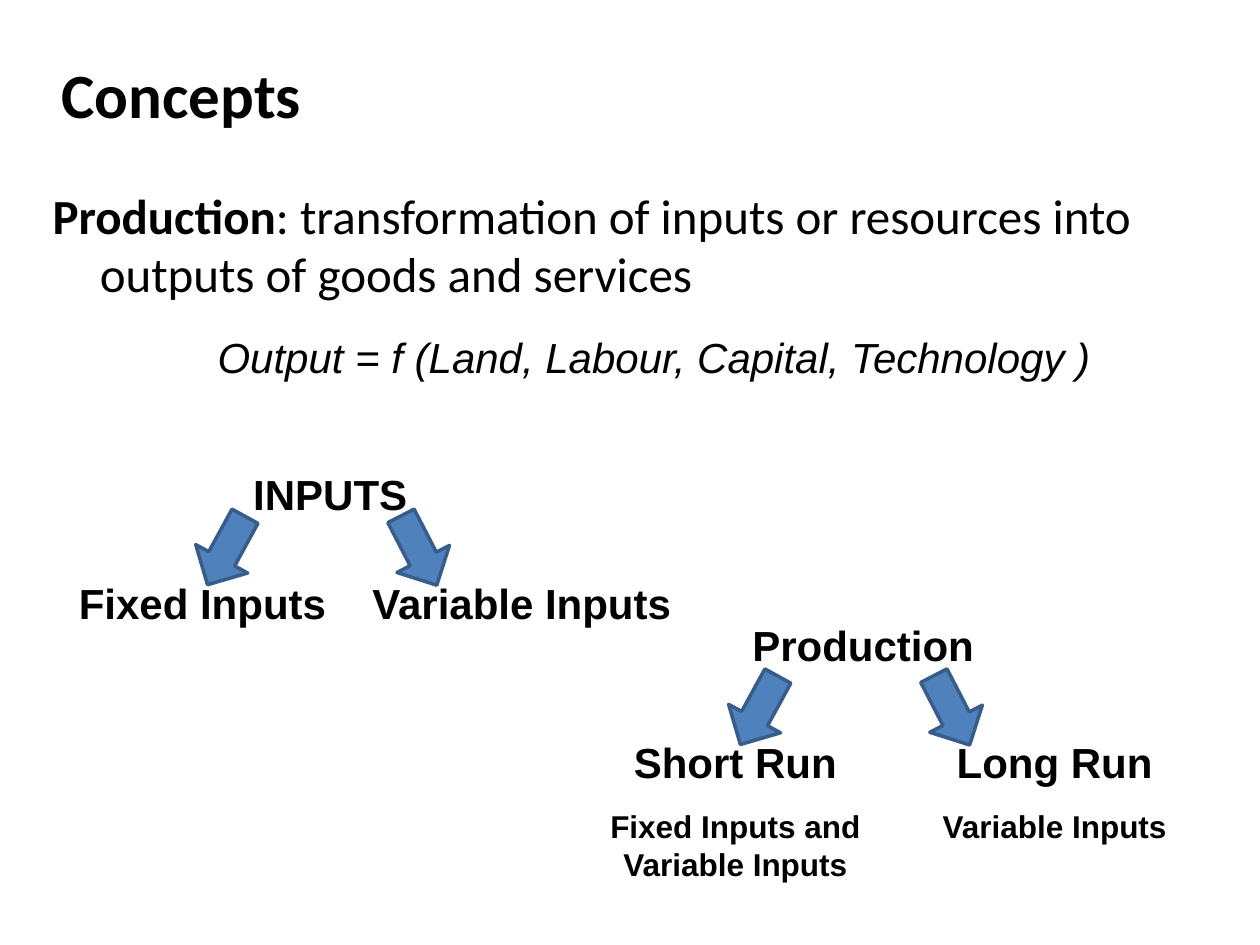
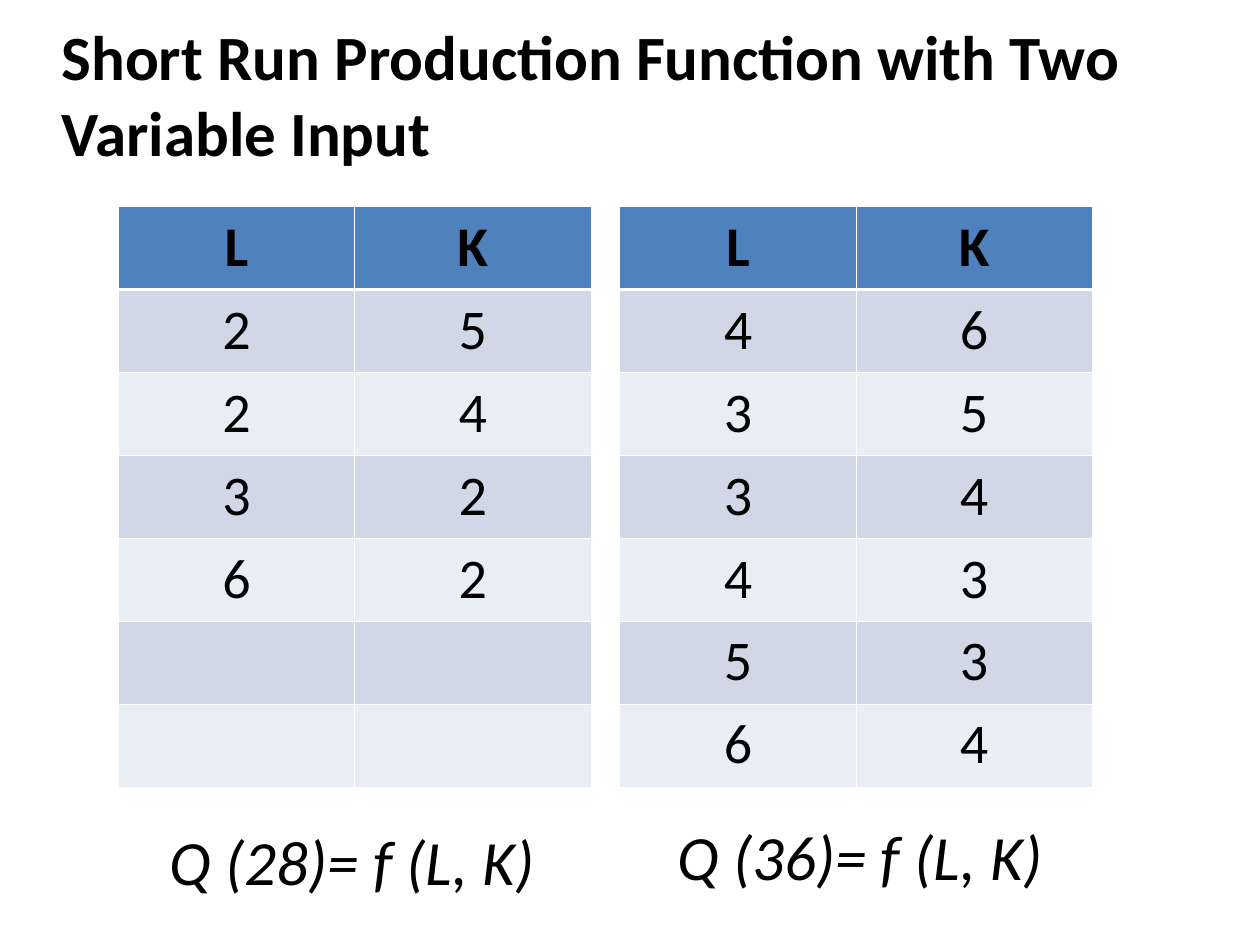
from lxml.etree import SubElement
from pptx import Presentation
from pptx.dml.color import RGBColor
from pptx.enum.shapes import MSO_SHAPE
from pptx.enum.text import MSO_ANCHOR, MSO_AUTO_SIZE, PP_ALIGN
from pptx.oxml.ns import qn
from pptx.util import Pt

BLACK, WHITE = "000000", "FFFFFF"
BLUE, DARK_BLUE = "4F81BD", "385D8A"
BAND_COLOURS = ["E9EDF4", "D0D8E8"]
HEADING_FONT, LABEL_FONT = "Calibri", "Arial"


def colour(hex_string):
    return RGBColor.from_string(hex_string)


def add_label(shapes, left, top, width, height, lines, font_name, **style):
    """Add a centred text box; lines holds pairs of text and size."""
    label = shapes.add_textbox(Pt(left), Pt(top), Pt(width), Pt(height))
    text_frame = label.text_frame
    text_frame.word_wrap = True
    text_frame.auto_size = MSO_AUTO_SIZE.SHAPE_TO_FIT_TEXT
    text_frame.text = "\n".join(text for text, size in lines)
    for index, (paragraph, (text, size)) in enumerate(zip(text_frame.paragraphs, lines)):
        paragraph.alignment = PP_ALIGN.CENTER
        if index:
            paragraph.space_before = Pt(11.2)
        font = paragraph.runs[0].font
        font.name, font.size = font_name, Pt(size)
        font.bold, font.italic = style.get("bold"), style.get("italic")
        font.color.rgb = colour(BLACK)
    return label


presentation = Presentation()
presentation.slide_width, presentation.slide_height = Pt(720), Pt(540)

# Slides with their shared title style
slides = []
for title_text in ["Concepts", "Short Run Production Function with Two Variable Input"]:
    slide = presentation.slides.add_slide(presentation.slide_layouts[5])
    slides.append(slide)
    title = slide.shapes.title
    title.left, title.top, title.width, title.height = Pt(28), Pt(28), Pt(660), Pt(50.4)
    title.text_frame.text = title_text
    title.text_frame.auto_size = MSO_AUTO_SIZE.NONE
    title.text_frame.vertical_anchor = MSO_ANCHOR.MIDDLE
    paragraph = title.text_frame.paragraphs[0]
    paragraph.alignment = PP_ALIGN.LEFT
    font = paragraph.runs[0].font
    font.name, font.size, font.bold = HEADING_FONT, Pt(36), True
    font.color.rgb = colour(BLACK)
concepts, two_inputs = slides

# Definition of production, with a hanging indent
definition = concepts.shapes.add_textbox(Pt(23), Pt(102.2), Pt(684), Pt(94.3))
definition.text_frame.word_wrap = True
paragraph = definition.text_frame.paragraphs[0]
properties = paragraph._p.get_or_add_pPr()
properties.set("marL", str(Pt(27)))
properties.set("indent", str(-Pt(27)))
for text, bold in [
    ("Production", True),
    (": transformation of inputs or resources into outputs of goods and services", False),
]:
    run = paragraph.add_run()
    run.text = text
    run.font.name, run.font.size, run.font.bold = HEADING_FONT, Pt(28), bold
    run.font.color.rgb = colour(BLACK)

add_label(concepts.shapes, 106.6, 185.8, 534.2, 36,
          [("Output = f (Land, Labour, Capital, Technology )", 24)], LABEL_FONT, italic=True)

# Two trees: a heading, two arrows and two branches
trees = [
    (95.8, 264.2, 28.1, "INPUTS", [
        ([("Fixed Inputs", 24)], 36),
        ([("Variable Inputs", 24)], 36)]),
    (400.3, 350.6, 33, "Production", [
        ([("Short Run", 24), ("Fixed Inputs and Variable Inputs", 18)], 90.7),
        ([("Long Run", 24), ("Variable Inputs", 18)], 69.1)]),
]
branch_places = [(-73, 185.8, 16.6, 28.7), (101.2, 202.3, 126.7, 332.7)]
for left, top, arrow_drop, heading, branches in trees:
    tree = concepts.shapes.add_group_shape()
    add_label(tree.shapes, left, top, 185.8, 36, [(heading, 24)], LABEL_FONT, bold=True)
    for (lines, height), (offset, width, arrow_offset, angle) in zip(branches, branch_places):
        add_label(tree.shapes, left + offset, top + arrow_drop + 33.9, width, height,
                  lines, LABEL_FONT, bold=True)
        arrow = tree.shapes.add_shape(MSO_SHAPE.DOWN_ARROW, Pt(left + arrow_offset),
                                      Pt(top + arrow_drop), Pt(33.8), Pt(44.6))
        arrow.rotation = angle
        arrow.shadow.inherit = False
        arrow.fill.solid()
        arrow.fill.fore_color.rgb = colour(BLUE)
        arrow.line.color.rgb = colour(DARK_BLUE)
        arrow.line.width = Pt(2)

# Input combinations and the output that each table gives
combinations = [
    (67.7, ["LK", "25", "24", "32", "62", "", ""], 63.4, 466.6, "Q (28)= f (L, K)"),
    (354.2, ["LK", "46", "35", "34", "43", "53", "64"], 353.5, 463.7, "Q (36)= f (L, K)"),
]
for left, rows, formula_left, formula_top, formula in combinations:
    frame = two_inputs.shapes.add_table(len(rows), 2, Pt(left), Pt(118.1), Pt(270), Pt(331.8))
    table = frame.table
    for row_index, values in enumerate(rows):
        table.rows[row_index].height = Pt(47.4)
        for column_index in range(2):
            cell = table.cell(row_index, column_index)
            cell.fill.solid()
            cell.fill.fore_color.rgb = colour(BAND_COLOURS[row_index % 2] if row_index else BLUE)
            if values:
                cell.text_frame.text = values[column_index]
                paragraph = cell.text_frame.paragraphs[0]
                paragraph.alignment = PP_ALIGN.CENTER
                font = paragraph.runs[0].font
                font.name, font.size, font.bold = HEADING_FONT, Pt(32), row_index == 0
                font.color.rgb = colour(BLACK)
            # White borders, thicker under the header; they precede the fill
            cell_properties = cell._tc.get_or_add_tcPr()
            for position, side in enumerate(["lnL", "lnR", "lnT", "lnB"]):
                thick = (row_index, side) in [(0, "lnB"), (1, "lnT")]
                border = SubElement(cell_properties, qn("a:" + side),
                                    w=str(Pt(1.47 if thick else 0.45)))
                border_fill = SubElement(border, qn("a:solidFill"))
                SubElement(border_fill, qn("a:srgbClr"), val=WHITE)
                cell_properties.insert(position, border)
    add_label(two_inputs.shapes, formula_left, formula_top, 275.8, 50.4,
              [(formula, 36)], HEADING_FONT, italic=True)

presentation.save("out.pptx")
